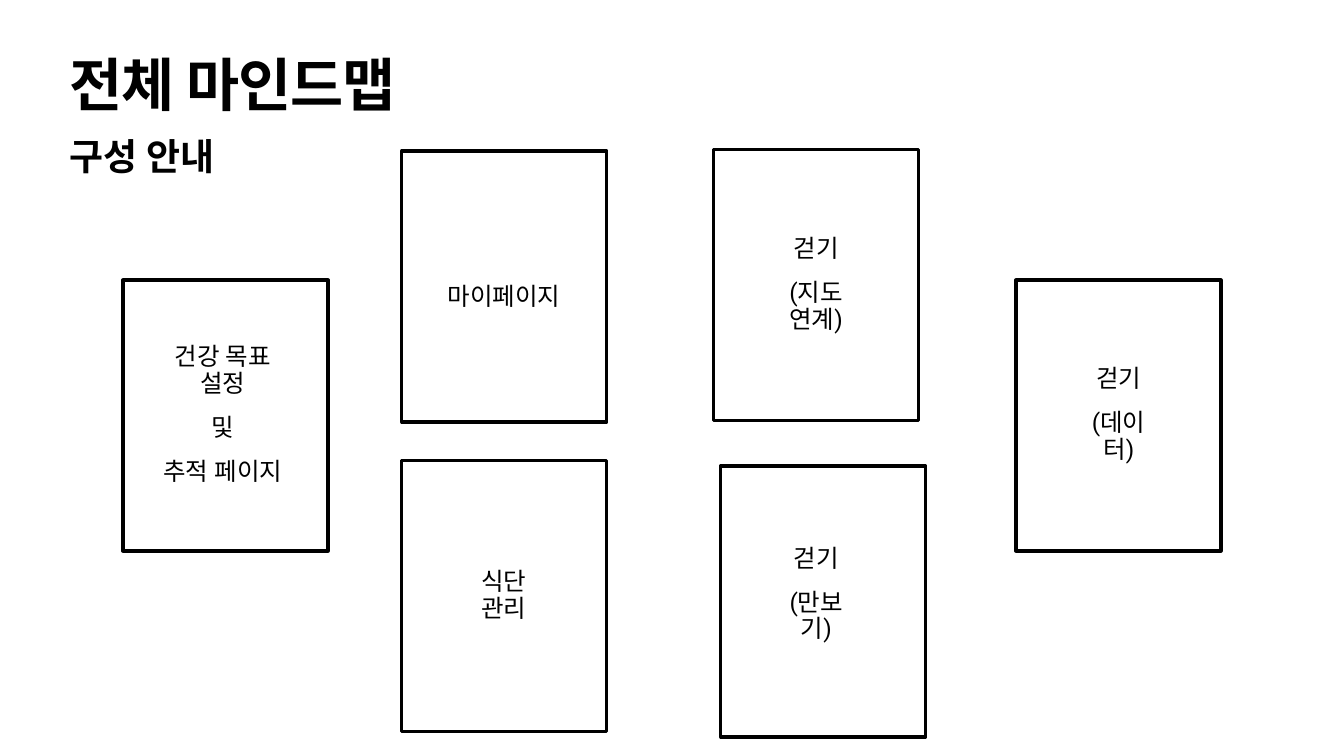
from dataclasses import dataclass

from lxml.etree import SubElement
from pptx import Presentation
from pptx.dml.color import RGBColor
from pptx.enum.shapes import MSO_SHAPE
from pptx.enum.text import MSO_ANCHOR, MSO_AUTO_SIZE, PP_ALIGN
from pptx.oxml.ns import qn
from pptx.util import Inches, Pt


@dataclass(frozen=True)
class Theme:
    font: str = "Roboto"
    ink: RGBColor = RGBColor(0, 0, 0)
    title_size: float = 82.5
    subtitle_size: float = 52.8
    label_size: float = 35
    border: float = 5


THEME = Theme()
CARD_WIDTH, CARD_HEIGHT = 4.07, 5.37
HEADING_LEFT, HEADING_WIDTH = 1.32, 24.03

# Each page card: left and top, then its label's bounds and lines
CARDS = [
    ((7.97, 3), (8.72, 5.59, 2.57, 0.64), ["마이페이지"]),
    ((7.97, 9.14), (9.03, 11.47, 1.94, 0.71), ["식단 관리"]),
    ((2.44, 5.56), (2.96, 6.99, 2.92, 2.49), ["건강 목표 설정", "및", "추적 페이지"]),
    ((20.16, 5.56), (21.38, 7.44, 1.64, 1.59), ["걷기", "(데이터)"]),
    ((14.16, 2.97), (15.1, 4.85, 2.19, 1.61), ["걷기", "(지도 연계)"]),
    ((14.3, 9.25), (15.38, 11, 1.64, 1.59), ["걷기", "(만보기)"]),
]


def style_span(span, size, bold=False):
    span.font.name = THEME.font
    span.font.size = Pt(size)
    span.font.bold = bold
    span.font.color.rgb = THEME.ink
    east_asian = SubElement(span.font._element, qn("a:ea"))
    east_asian.set("typeface", THEME.font)


def set_frame(frame, inset, anchor, wrap, auto_size):
    frame.margin_left = frame.margin_right = Inches(inset)
    frame.margin_top = frame.margin_bottom = Inches(inset)
    frame.vertical_anchor = anchor
    frame.word_wrap = wrap
    frame.auto_size = auto_size


def write_heading(box, text, size, inset):
    frame = box.text_frame
    set_frame(frame, inset, MSO_ANCHOR.TOP, True, MSO_AUTO_SIZE.NONE)
    frame.text = text
    para = frame.paragraphs[0]
    para.alignment = PP_ALIGN.LEFT
    style_span(para.runs[0], size, bold=True)
    return para


def add_title(page, text):
    title = page.shapes.title
    title.left, title.top = Inches(HEADING_LEFT), Inches(1.18)
    title.width, title.height = Inches(HEADING_WIDTH), Inches(1.57)
    para = write_heading(title, text, THEME.title_size, 0.06)
    para.line_spacing = 0.8
    # Tighter letter spacing, in hundredths of a point
    para.runs[0].font._element.set("spc", "-160")


def add_subtitle(page, text):
    box = page.shapes.add_textbox(
        Inches(HEADING_LEFT), Inches(2.6), Inches(HEADING_WIDTH), Inches(1.02))
    write_heading(box, text, THEME.subtitle_size, 0.05)


def add_card(page, left, top):
    card = page.shapes.add_shape(
        MSO_SHAPE.RECTANGLE, Inches(left), Inches(top),
        Inches(CARD_WIDTH), Inches(CARD_HEIGHT))
    card.shadow.inherit = False
    card.fill.background()
    card.line.color.rgb = THEME.ink
    card.line.width = Pt(THEME.border)


def add_label(page, bounds, lines):
    box = page.shapes.add_textbox(*map(Inches, bounds))
    frame = box.text_frame
    set_frame(frame, 0.06, MSO_ANCHOR.MIDDLE, False,
              MSO_AUTO_SIZE.SHAPE_TO_FIT_TEXT)
    frame.text = "\n".join(lines)
    for index, para in enumerate(frame.paragraphs):
        para.alignment = PP_ALIGN.CENTER
        para.line_spacing = 0.9
        para.space_before = Pt(25 if index else 0)
        style_span(para.runs[0], THEME.label_size)


def main():
    deck = Presentation()
    deck.slide_width, deck.slide_height = Inches(26.67), Inches(15)
    page = deck.slides.add_slide(deck.slide_layouts[5])

    # Headings
    add_title(page, "전체 마인드맵")
    add_subtitle(page, "구성 안내")

    # Page cards with their labels
    for corner, bounds, lines in CARDS:
        add_card(page, *corner)
        add_label(page, bounds, lines)

    deck.save("out.pptx")


if __name__ == "__main__":
    main()
